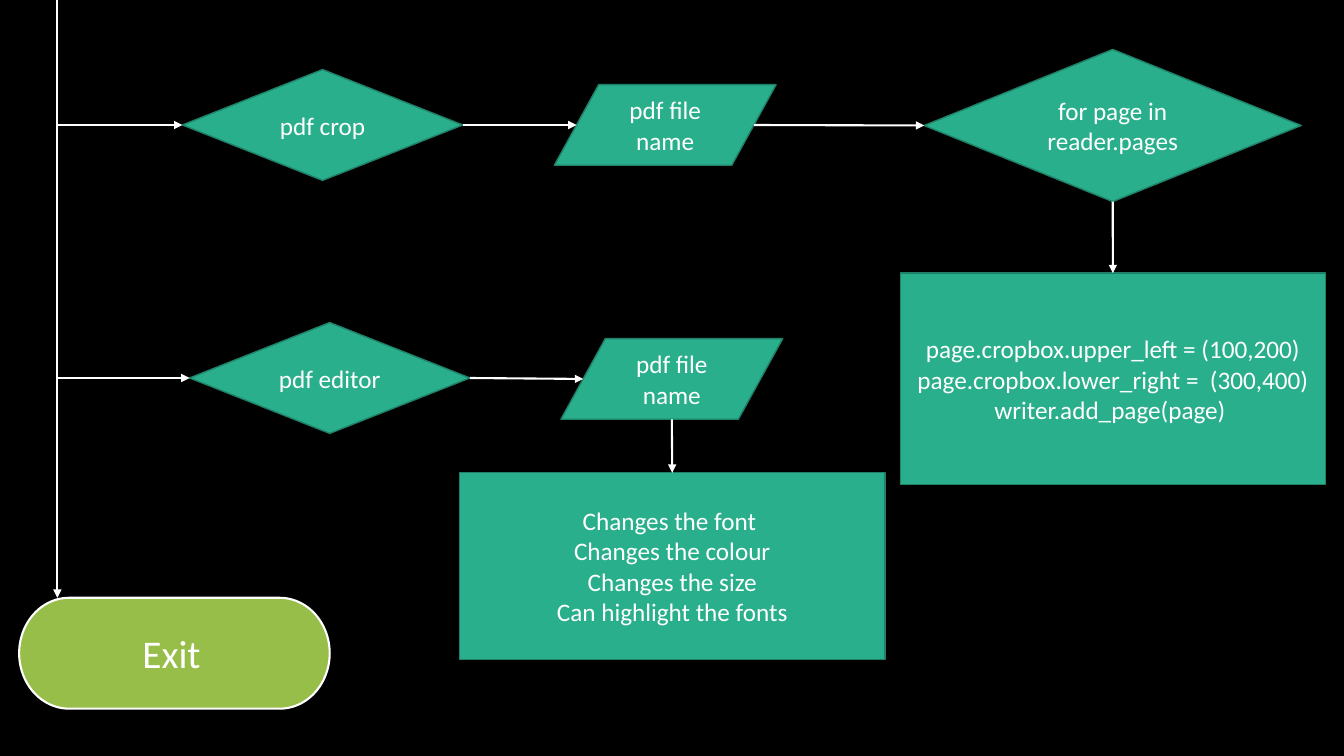
import pptx
import pptx.dml.color
import pptx.enum.shapes
import pptx.enum.text
import pptx.oxml
import pptx.oxml.ns
import pptx.util

Pt = pptx.util.Pt
SHAPES = pptx.enum.shapes.MSO_SHAPE
TEAL, DARK_TEAL, GREEN = "29AF8C", "1E8168", "97BE49"
WHITE, BLACK = "FFFFFF", "000000"
TRUNK_X = 41


def color(hex_text):
    return pptx.dml.color.RGBColor.from_string(hex_text)


def style_run(run, size):
    run.font.name = "Calibri"
    run.font.size = Pt(size)
    run.font.color.rgb = color(WHITE)


def add_box(slide, kind, box, text, fill=TEAL, line=DARK_TEAL, line_width=1, size=18):
    shape = slide.shapes.add_shape(kind, *[Pt(length) for length in box])
    shape.shadow.inherit = False
    shape.fill.solid()
    shape.fill.fore_color.rgb = color(fill)
    shape.line.color.rgb = color(line)
    shape.line.width = Pt(line_width)
    text_frame = shape.text_frame
    text_frame.word_wrap = True
    text_frame.vertical_anchor = pptx.enum.text.MSO_ANCHOR.MIDDLE
    text_frame.text = text
    for paragraph in text_frame.paragraphs:
        paragraph.alignment = pptx.enum.text.PP_ALIGN.CENTER
        for run in paragraph.runs:
            style_run(run, size)
    return shape


def add_decision(slide, box, text):
    return add_box(slide, SHAPES.FLOWCHART_DECISION, box, text)


def add_file_input(slide, left, top):
    return add_box(slide, SHAPES.FLOWCHART_DATA, (left, top, 158.4, 57.6), "pdf file name")


def add_process(slide, left, top, height, lines):
    return add_box(slide, SHAPES.RECTANGLE, (left, top, 303.8, height), "\n".join(lines))


def add_exit(slide):
    shape = add_box(slide, SHAPES.FLOWCHART_TERMINATOR, (13.7, 427, 221.8, 79.2),
                    "Exit", GREEN, WHITE, 1.5, 28)
    space = shape.text_frame.paragraphs[0].add_run()
    space.text = " "
    style_run(space, 18)
    return shape


def side_point(shape, side):
    slant = shape.width // 10 if shape.auto_shape_type == SHAPES.FLOWCHART_DATA else 0
    center_x = shape.left + shape.width // 2
    center_y = shape.top + shape.height // 2
    return {
        "left": (shape.left + slant, center_y),
        "right": (shape.left + shape.width - slant, center_y),
        "top": (center_x, shape.top),
        "bottom": (center_x, shape.top + shape.height),
    }[side]


def add_arrow(slide, start, end):
    connector = slide.shapes.add_connector(
        pptx.enum.shapes.MSO_CONNECTOR.STRAIGHT, *start, *end)
    connector.line.color.rgb = color(WHITE)
    connector.line.width = Pt(1.5)
    namespace = pptx.oxml.ns.nsdecls("a")
    connector.line._get_or_add_ln().append(
        pptx.oxml.parse_xml(f'<a:tailEnd {namespace} type="triangle"/>'))
    connector._element.spPr.append(pptx.oxml.parse_xml(f"<a:effectLst {namespace}/>"))


def arrow_right(slide, source, target):
    add_arrow(slide, side_point(source, "right"), side_point(target, "left"))


def arrow_down(slide, source, target):
    add_arrow(slide, side_point(source, "bottom"), side_point(target, "top"))


def arrow_from_trunk(slide, target):
    end = side_point(target, "left")
    add_arrow(slide, (Pt(TRUNK_X), end[1]), end)


def main():
    presentation = pptx.Presentation()
    presentation.slide_width = Pt(960)
    presentation.slide_height = Pt(540)
    slide = presentation.slides.add_slide(presentation.slide_layouts[6])
    slide.background.fill.solid()
    slide.background.fill.fore_color.rgb = color(BLACK)

    crop = add_decision(slide, (130.3, 49.7, 200.2, 79.2), "pdf crop")
    crop_file = add_file_input(slide, 396, 60.5)
    page_loop = add_decision(slide, (660.2, 35.3, 269.3, 108.7), "for page in reader.pages")
    crop_code = add_process(slide, 643, 195.1, 151.2, [
        "page.cropbox.upper_left = (100,200)",
        "page.cropbox.lower_right =  (300,400)",
        "writer.add_page(page) ",
    ])
    editor = add_decision(slide, (135.4, 230.4, 200.2, 79.2), "pdf editor")
    editor_file = add_file_input(slide, 400.7, 241.9)
    editor_changes = add_process(slide, 328.3, 337.7, 133.2, [
        "Changes the font ",
        "Changes the colour",
        "Changes the size",
        "Can highlight the fonts",
    ])
    exit_box = add_exit(slide)

    for source, target in [(crop, crop_file), (crop_file, page_loop), (editor, editor_file)]:
        arrow_right(slide, source, target)
    for source, target in [(page_loop, crop_code), (editor_file, editor_changes)]:
        arrow_down(slide, source, target)
    for branch in (crop, editor):
        arrow_from_trunk(slide, branch)
    add_arrow(slide, (Pt(TRUNK_X), 0), (Pt(TRUNK_X), exit_box.top))

    presentation.save("out.pptx")


main()
